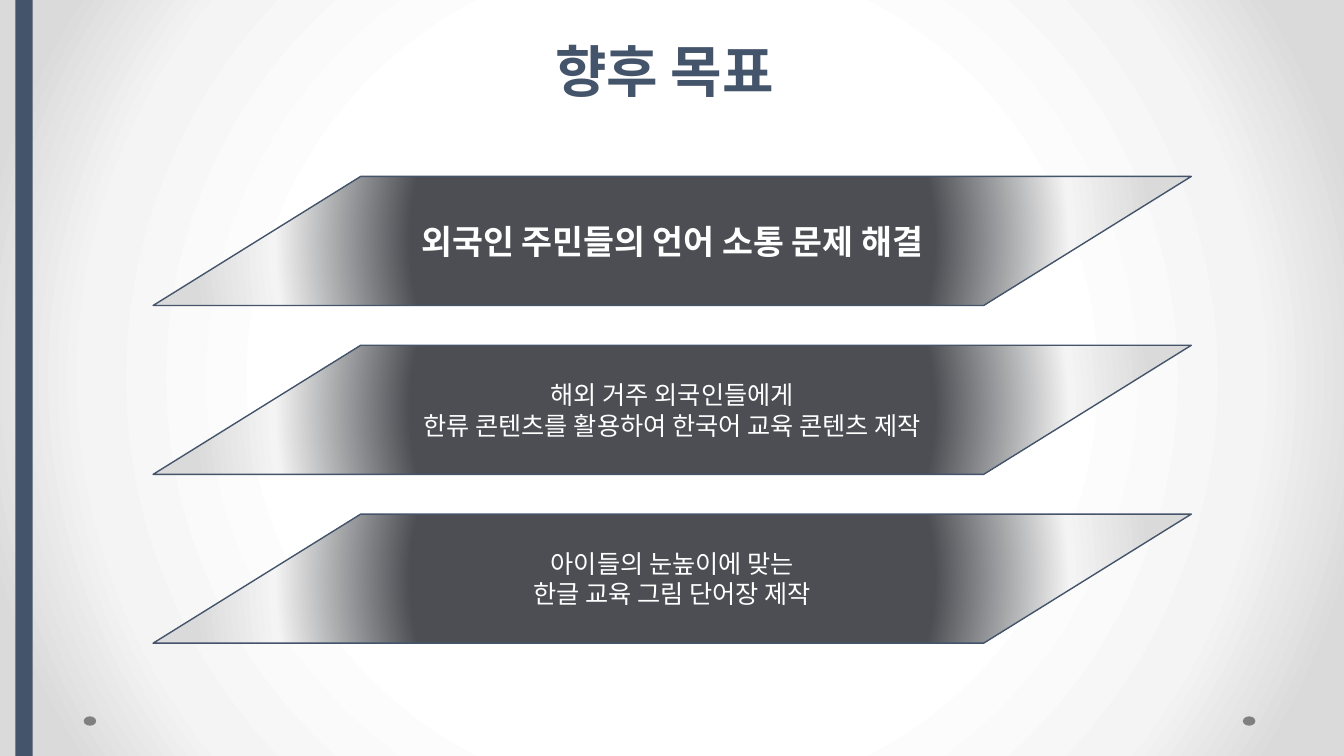
from dataclasses import dataclass

from lxml import etree
from pptx import Presentation
from pptx.dml.color import RGBColor
from pptx.enum.shapes import MSO_SHAPE
from pptx.enum.text import MSO_ANCHOR, MSO_AUTO_SIZE, PP_ALIGN
from pptx.oxml.ns import qn
from pptx.util import Pt

OVAL = MSO_SHAPE.OVAL
RECT = MSO_SHAPE.RECTANGLE
SLANT = MSO_SHAPE.FLOWCHART_DATA
MIDDLE = MSO_ANCHOR.MIDDLE
BOTTOM = MSO_ANCHOR.BOTTOM
CENTER = PP_ALIGN.CENTER
FIXED = MSO_AUTO_SIZE.NONE

NAVY = "44546A"
WHITE = "FFFFFF"
GREY = "808080"
DARK = "4C4E53"
SANS = "Noto Sans CJK KR"
SERIF = "Cambria"

WIDE, HIGH = 960, 540
GOAL_X, GOAL_Y = 109.4, 126
GOAL_W, GOAL_H = 741.6, 92.2
GOAL_STEP = 120.6


@dataclass
class Mark:
    kind: MSO_SHAPE
    x: float
    y: float
    w: float
    h: float
    color: str


@dataclass
class Goal:
    lines: list[str]
    size: float
    bold: bool


MARKS = [
    Mark(OVAL, 887.8, 511.7, 8.9, 6.7, GREY),
    Mark(OVAL, 59.8, 511.7, 8.9, 6.7, GREY),
    Mark(RECT, 11, 0, 12.4, HIGH, NAVY),
]
GOALS = [
    Goal(["외국인 주민들의 언어 소통 문제 해결"], 24, True),
    Goal(["해외 거주 외국인들에게", "한류 콘텐츠를 활용하여 한국어 교육 콘텐츠 제작"], 18, False),
    Goal(["아이들의 눈높이에 맞는", "한글 교육 그림 단어장 제작"], 18, False),
]


def tint(code: str) -> RGBColor:
    return RGBColor.from_string(code)


def glow(host, core: str) -> None:
    grad = etree.Element(qn("a:gradFill"), rotWithShape="1")
    stops = etree.SubElement(grad, qn("a:gsLst"))
    for place, code in ((50, core), (76, "F4F4F4"), (92, "DADADA")):
        stop = etree.SubElement(stops, qn("a:gs"), pos=str(place * 1000))
        etree.SubElement(stop, qn("a:srgbClr"), val=code)
    ring = etree.SubElement(grad, qn("a:path"), path="circle")
    sides = {side: "50000" for side in "ltrb"}
    etree.SubElement(ring, qn("a:fillToRect"), **sides)
    host.replace(host.find(qn("a:solidFill")), grad)


def write(para, text: str, face: str, size: float, color: str, bold: bool) -> None:
    run = para.add_run()
    run.text = text
    font = run.font
    font.size = Pt(size)
    font.bold = bold
    font.color.rgb = tint(color)
    font.name = face
    latin = run.font._element.find(qn("a:latin"))
    latin.addnext(etree.Element(qn("a:ea"), typeface=SANS))


def draw_mark(slide, mark: Mark) -> None:
    shape = slide.shapes.add_shape(
        mark.kind, Pt(mark.x), Pt(mark.y), Pt(mark.w), Pt(mark.h))
    shape.shadow.inherit = False
    shape.fill.solid()
    shape.fill.fore_color.rgb = tint(mark.color)
    shape.line.fill.background()


def draw_goal(group, goal: Goal, top: float) -> None:
    shape = group.shapes.add_shape(
        SLANT, Pt(GOAL_X), Pt(top), Pt(GOAL_W), Pt(GOAL_H))
    shape.shadow.inherit = False
    shape.fill.solid()
    glow(shape.element.spPr, DARK)
    shape.line.color.rgb = tint(NAVY)
    shape.line.width = Pt(1)
    frame = shape.text_frame
    frame.word_wrap = True
    frame.vertical_anchor = MIDDLE
    para = frame.paragraphs[0]
    para.alignment = CENTER
    for row, text in enumerate(goal.lines):
        if row:
            para.add_line_break()
        write(para, text, SERIF, goal.size, WHITE, goal.bold)


def draw_title(slide) -> None:
    title = slide.shapes.title
    title.left, title.top = Pt(48), Pt(0)
    title.width, title.height = Pt(864), Pt(126)
    frame = title.text_frame
    frame.auto_size = FIXED
    frame.word_wrap = True
    frame.vertical_anchor = BOTTOM
    frame.margin_bottom = Pt(51.6)
    frame.margin_right = Pt(18)
    para = frame.paragraphs[0]
    para.alignment = CENTER
    para.line_spacing = Pt(48)
    write(para, "향후 목표", SANS, 40, NAVY, True)


def main() -> None:
    deck = Presentation()
    deck.slide_width, deck.slide_height = Pt(WIDE), Pt(HIGH)
    slide = deck.slides.add_slide(deck.slide_layouts[5])
    slide.background.fill.solid()
    glow(slide.element.find(".//" + qn("p:bgPr")), WHITE)
    for mark in MARKS:
        draw_mark(slide, mark)
    draw_title(slide)
    group = slide.shapes.add_group_shape()
    for row, goal in enumerate(GOALS):
        draw_goal(group, goal, GOAL_Y + row * GOAL_STEP)
    deck.save("out.pptx")


if __name__ == "__main__":
    main()
